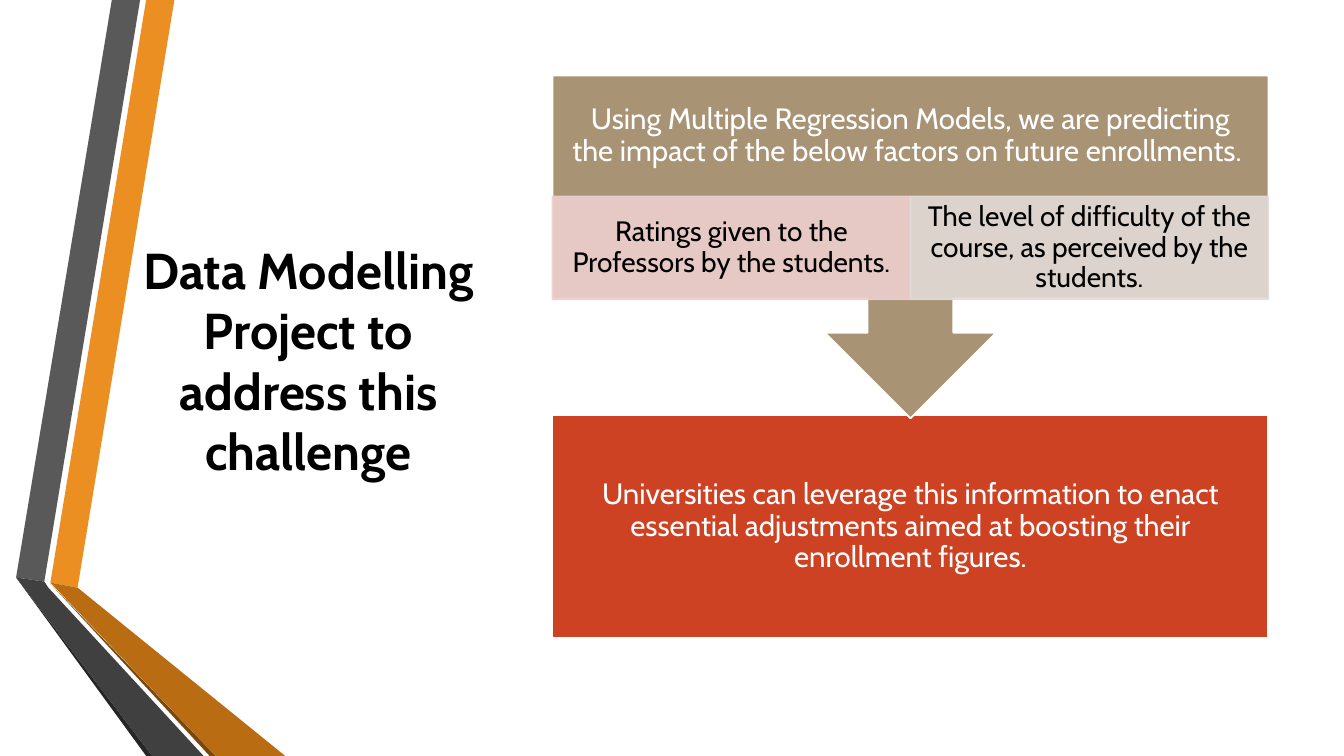
from dataclasses import dataclass

from lxml.etree import SubElement
from pptx import Presentation
from pptx.dml.color import RGBColor
from pptx.enum.shapes import MSO_SHAPE as Kind
from pptx.enum.text import MSO_ANCHOR as Anchor, MSO_AUTO_SIZE as Fit, PP_ALIGN as Align
from pptx.oxml.ns import qn
from pptx.shapes.base import BaseShape
from pptx.slide import Slide
from pptx.text.text import TextFrame
from pptx.util import Pt

PX = 9144  # 100 px to the inch
FONT = "Cabin"
HEX = {
    "black": "000000", "white": "FFFFFF",
    "orange": "EB8F22", "amber": "B96C11", "brown": "7B480B",
    "grey": "595959", "dark": "404040", "coal": "262626",
    "tan": "A89374", "red": "CD4223", "pink": "EDCFCD", "stone": "E2DCD6",
}


@dataclass(frozen=True)
class Band:
    color: str
    points: tuple[tuple[int, int], ...]


@dataclass(frozen=True)
class Box:
    at: tuple[int, int, int, int]
    fill: str
    line: str
    kind: Kind = Kind.RECTANGLE
    turn: int = 0
    alpha: int = 100


@dataclass(frozen=True)
class Label:
    text: str
    size: int
    ink: str
    pad: tuple[int, int] = (16, 16)
    bold: bool = False
    space: float = 0.9


BANDS = (
    Band("orange", ((50, 578), (77, 583), (173, 0), (145, 0))),
    Band("grey", ((139, 0), (111, 0), (16, 573), (44, 577))),
    Band("coal", ((16, 573), (145, 750), (151, 750))),
    Band("brown", ((50, 579), (208, 750), (214, 750))),
    Band("amber", ((50, 578), (214, 750), (283, 750), (77, 583))),
    Band("dark", ((202, 750), (48, 583), (44, 577), (16, 573), (151, 750))),
)

LEFT, TOP, WIDE = 548, 75, 710
HALF = WIDE // 2
HEAD = 119  # height of the heading above the two factors
FACTORS = (
    ("pink", "Ratings given to the Professors by the students."),
    ("stone", "The level of difficulty of the course, as perceived by the students."),
)


def rgb(name: str) -> RGBColor:
    return RGBColor.from_string(HEX[name])


def scale(at: tuple[int, int, int, int]) -> list[int]:
    return [n * PX for n in at]


def apply(item: object, values: dict[str, object]) -> None:
    for name, value in values.items():
        setattr(item, name, value)


def paint(shape: BaseShape, color: str) -> None:
    shape.shadow.inherit = False
    shape.fill.solid()
    shape.fill.fore_color.rgb = rgb(color)


def draw_band(slide: Slide, band: Band) -> None:
    first, *rest = band.points
    path = slide.shapes.build_freeform(*first, scale=PX)
    path.add_line_segments(rest, close=True)
    shape = path.convert_to_shape()
    paint(shape, band.color)
    shape.line.fill.background()


def draw_box(slide: Slide, box: Box) -> BaseShape:
    shape = slide.shapes.add_shape(box.kind, *scale(box.at))
    shape.rotation = box.turn
    paint(shape, box.fill)
    shape.line.color.rgb = rgb(box.line)
    shape.line.width = Pt(1.25)
    if box.alpha < 100:
        for tint in shape._element.spPr.iter(qn("a:srgbClr")):
            SubElement(tint, qn("a:alpha"), val=str(box.alpha * 1000))
    return shape


def write(frame: TextFrame, label: Label) -> None:
    side, edge = (n * PX for n in label.pad)
    apply(frame, {
        "text": label.text, "word_wrap": True, "auto_size": Fit.NONE,
        "vertical_anchor": Anchor.MIDDLE,
        "margin_left": side, "margin_right": side,
        "margin_top": edge, "margin_bottom": edge,
    })
    line = frame.paragraphs[0]
    apply(line, {"alignment": Align.CENTER, "line_spacing": label.space})
    font = line.runs[0].font
    apply(font, {"name": FONT, "size": Pt(label.size), "bold": label.bold})
    font.color.rgb = rgb(label.ink)


def main() -> None:
    deck = Presentation()
    apply(deck, {"slide_width": 1333 * PX, "slide_height": 750 * PX})
    slide = deck.slides.add_slide(deck.slide_layouts[5])

    for band in BANDS:
        draw_band(slide, band)

    title = slide.shapes.title
    apply(title, dict(zip(("left", "top", "width", "height"), scale((103, 78, 406, 558)))))
    write(title.text_frame, Label(
        "Data Modelling Project to address this challenge",
        36, "black", (10, 5), bold=True, space=1.0))

    result = draw_box(slide, Box((LEFT, 412, WIDE, 221), "red", "white"))
    write(result.text_frame, Label(
        "Universities can leverage this information to enact essential "
        "adjustments aimed at boosting their enrollment figures.", 21, "white"))

    draw_box(slide, Box((LEFT, TOP, WIDE, 340), "tan", "white",
                        Kind.UP_ARROW_CALLOUT, turn=180))
    head = slide.shapes.add_textbox(*scale((LEFT, TOP, WIDE, HEAD)))
    write(head.text_frame, Label(
        "Using Multiple Regression Models, we are predicting the impact of "
        "the below factors on future enrollments. ", 21, "white"))

    for i, (color, text) in enumerate(FACTORS):
        at = (LEFT + i * HALF, TOP + HEAD + 1, HALF, 102)
        factor = draw_box(slide, Box(at, color, color, alpha=90))
        write(factor.text_frame, Label(text, 20, "black", (16, 3)))

    deck.save("out.pptx")


if __name__ == "__main__":
    main()
